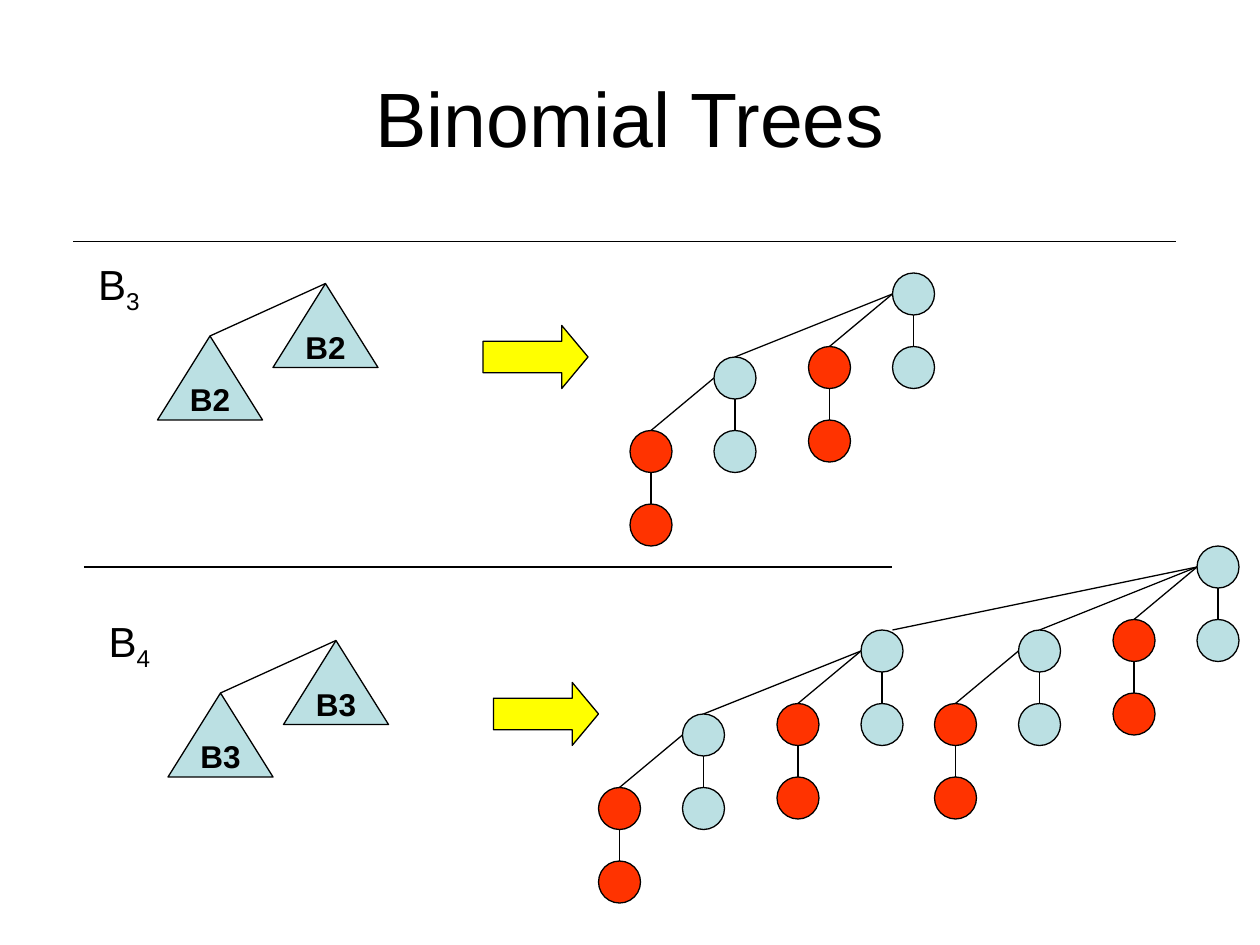
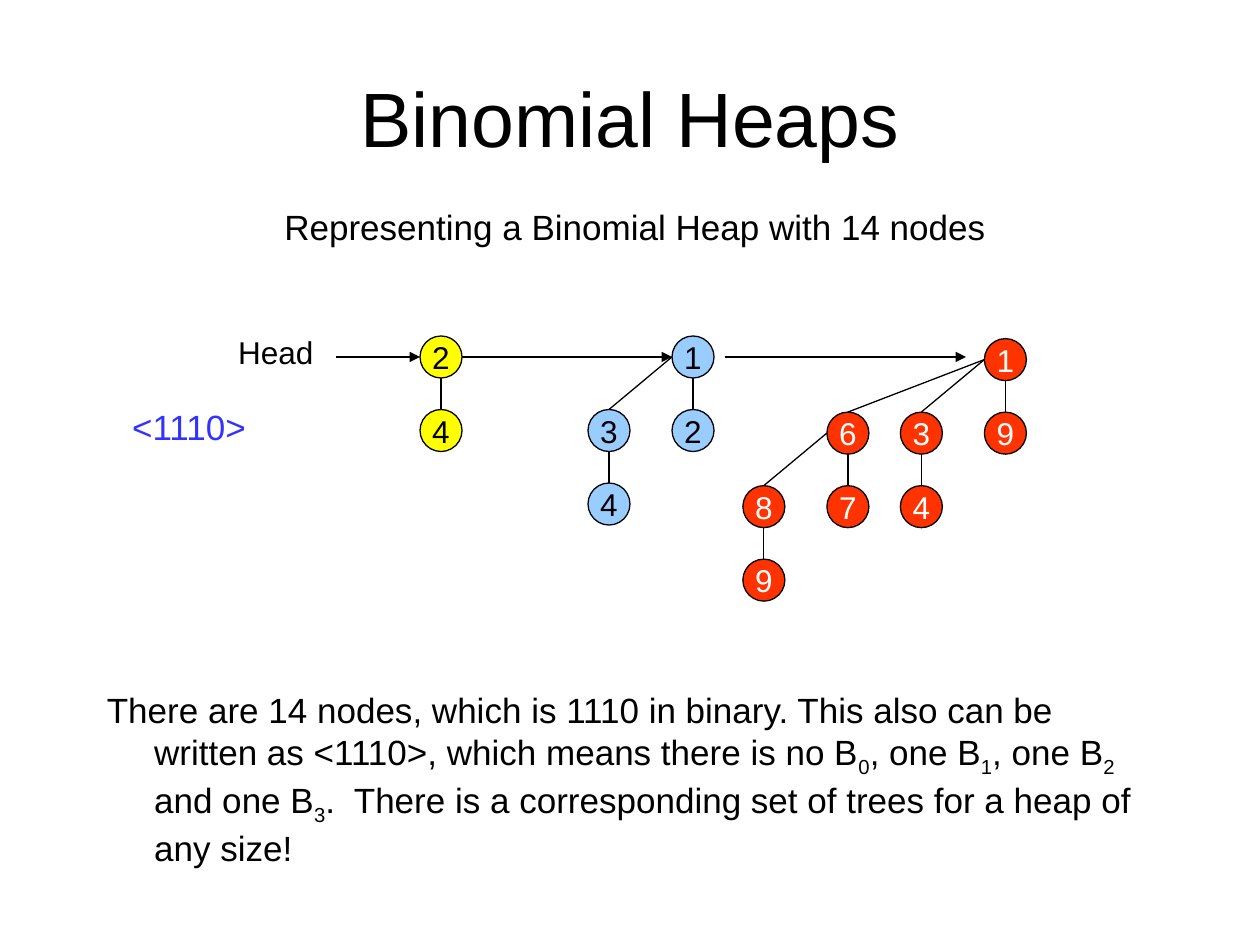
from lxml import etree
from pptx import Presentation
from pptx.dml.color import RGBColor
from pptx.enum import shapes, text
from pptx.oxml import ns
from pptx.util import Pt

COLOURS = {
    "black": "000000",
    "white": "FFFFFF",
    "teal": "BBE0E3",
    "red": "FF3300",
    "yellow": "FFFF00",
    "sky": "99CCFF",
    "blue": "3333FF",
}
FONT = "Arial"
LINE_WIDTH = 0.75
NODE = 24
TREE_OFFSETS = [(0, 42), (-48, 42), (-102, 48), (-192, 48)]
HEAP_OFFSETS = [(0, 42), (-48, 42), (-90, 42)]
EDGE_SHIFTS = {3: 6}


def colour(name):
    """Return the named colour."""
    return RGBColor.from_string(COLOURS[name])


def format_run(run, size, ink="black", bold=False):
    """Set the font of a run."""
    run.font.name = FONT
    run.font.size = Pt(size)
    run.font.bold = bold
    run.font.color.rgb = colour(ink)


def add_title_slide(presentation, title):
    """Add a title-only slide with its title in place."""
    slide = presentation.slides.add_slide(presentation.slide_layouts[5])
    shape = slide.shapes.title
    shape.left, shape.top, shape.width, shape.height = map(Pt, (36, 21.6, 648, 90))
    frame = shape.text_frame
    frame.text = title
    frame.auto_size = text.MSO_AUTO_SIZE.NONE
    frame.vertical_anchor = text.MSO_ANCHOR.MIDDLE
    paragraph = frame.paragraphs[0]
    paragraph.alignment = text.PP_ALIGN.CENTER
    format_run(paragraph.runs[0], 44)
    return slide


def add_text(slide, box, pieces, size, ink="black", align="LEFT", wrap=True, hanging=0):
    """Add a text box in which every second piece is a subscript."""
    frame = slide.shapes.add_textbox(*map(Pt, box)).text_frame
    frame.word_wrap = wrap
    paragraph = frame.paragraphs[0]
    paragraph.alignment = text.PP_ALIGN[align]
    if hanging:
        properties = paragraph._p.get_or_add_pPr()
        properties.set("marL", str(Pt(hanging)))
        properties.set("indent", str(-Pt(hanging)))
    for index, piece in enumerate(pieces):
        run = paragraph.add_run()
        run.text = piece
        format_run(run, size, ink)
        if index % 2:
            run.font._element.set("baseline", "-25000")


def add_figure(slide, kind, box, fill, label="", ink="black", bold=False):
    """Add an outlined preset shape with an optional centred label."""
    shape = slide.shapes.add_shape(kind, *map(Pt, box))
    shape.shadow.inherit = False
    shape.fill.solid()
    shape.fill.fore_color.rgb = colour(fill)
    shape.line.color.rgb = colour("black")
    shape.line.width = Pt(LINE_WIDTH)
    if label:
        frame = shape.text_frame
        frame.text = label
        frame.word_wrap = False
        frame.vertical_anchor = text.MSO_ANCHOR.MIDDLE
        paragraph = frame.paragraphs[0]
        paragraph.alignment = text.PP_ALIGN.CENTER
        format_run(paragraph.runs[0], 18, ink, bold)
    return shape


def add_line(slide, start, end, arrow=False):
    """Add a thin straight line, with an arrowhead at its end if asked."""
    line = slide.shapes.add_connector(
        shapes.MSO_CONNECTOR.STRAIGHT, *map(Pt, (*start, *end))
    )
    line.line.color.rgb = colour("black")
    line.line.width = Pt(LINE_WIDTH)
    if arrow:
        etree.SubElement(line.line._get_or_add_ln(), ns.qn("a:tailEnd"), type="triangle")
    etree.SubElement(line._element.spPr, ns.qn("a:effectLst"))


def add_tree(slide, left, top, order, offsets, fill, pair_fill, labels=None, ink="black"):
    """Draw a binomial tree whose root has the given corner, children by order."""
    if order == 1:
        fill = pair_fill
    label = next(labels) if labels else ""
    add_figure(slide, shapes.MSO_SHAPE.OVAL, (left, top, NODE, NODE), fill, label, ink)
    middle = NODE / 2
    for child_order, (across, down) in enumerate(offsets[:order]):
        start = (left, top + middle) if across else (left + middle, top + NODE)
        shift = EDGE_SHIFTS.get(child_order, 0)
        add_line(slide, start, (left + across + middle + shift, top + down))
        add_tree(slide, left + across, top + down, child_order, offsets,
                 fill, pair_fill, labels, ink)


def add_recipe(slide, left, top, order):
    """Show how two smaller trees are joined into one of the given order."""
    add_text(slide, (left + 7, top + 6, 38, 40), ["B", str(order)], 24, wrap=False)
    width, height = 60, 48
    lower, upper = (left + 48, top + 54), (left + 114, top + 24)
    for corner in (lower, upper):
        add_figure(slide, shapes.MSO_SHAPE.ISOSCELES_TRIANGLE,
                   (*corner, width, height), "teal", f"B{order - 1}", bold=True)
    add_line(slide, *((x + width / 2, y) for x, y in (upper, lower)))
    arrow = add_figure(slide, shapes.MSO_SHAPE.RIGHT_ARROW,
                       (left + 234, top + 48, 60, 36), "yellow")
    arrow.adjustments[1] = 0.417


def build_trees_slide(presentation):
    """Build the slide on the trees of order three and four."""
    slide = add_title_slide(presentation, "Binomial Trees")
    add_line(slide, (42, 138), (672, 138))
    add_line(slide, (48, 324), (510, 324))
    for order, recipe, root in ((3, (42, 138), (510, 156)), (4, (48, 342), (684, 312))):
        add_recipe(slide, *recipe, order)
        add_tree(slide, *root, order, TREE_OFFSETS, "teal", "red")


def add_heap(slide, left, top):
    """Draw the linked list of trees, starting from the head label."""
    add_text(slide, (left, top - 5, 58, 29), ["Head"], 18, wrap=False)
    trees = (
        (111, 0, "24", "yellow", "black"),
        (255, 0, "1234", "sky", "black"),
        (433.5, 1.5, "19346789", "red", "white"),
    )
    for order, (across, down, keys, fill, ink) in enumerate(trees, start=1):
        add_tree(slide, left + across, top + down, order, HEAP_OFFSETS,
                 fill, fill, iter(keys), ink)
    level = top + NODE / 2
    for start, end in ((63, 111), (135, 255), (285, 423)):
        add_line(slide, (left + start, level), (left + end, level), arrow=True)


def build_heaps_slide(presentation):
    """Build the slide on a heap with fourteen nodes."""
    slide = add_title_slide(presentation, "Binomial Heaps")
    add_text(slide, (60, 114, 606, 54),
             ["Representing a Binomial Heap with 14 nodes"], 20, align="CENTER")
    add_heap(slide, 129, 192)
    add_text(slide, (66, 228, 84, 32), ["<1110>"], 20, "blue", "CENTER")
    explanation = [
        "There are 14 nodes, which is 1110 in binary. This also can be written as "
        "<1110>, which means there is no B", "0", ", one B", "1", ", one B", "2",
        " and one B", "3",
        ".  There is a corresponding set of trees for a heap of any size!",
    ]
    add_text(slide, (54, 390, 618, 114), explanation, 20, hanging=27)


def main():
    """Build and save the presentation."""
    presentation = Presentation()
    presentation.slide_width, presentation.slide_height = Pt(720), Pt(540)
    build_trees_slide(presentation)
    build_heaps_slide(presentation)
    presentation.save("out.pptx")


if __name__ == "__main__":
    main()
